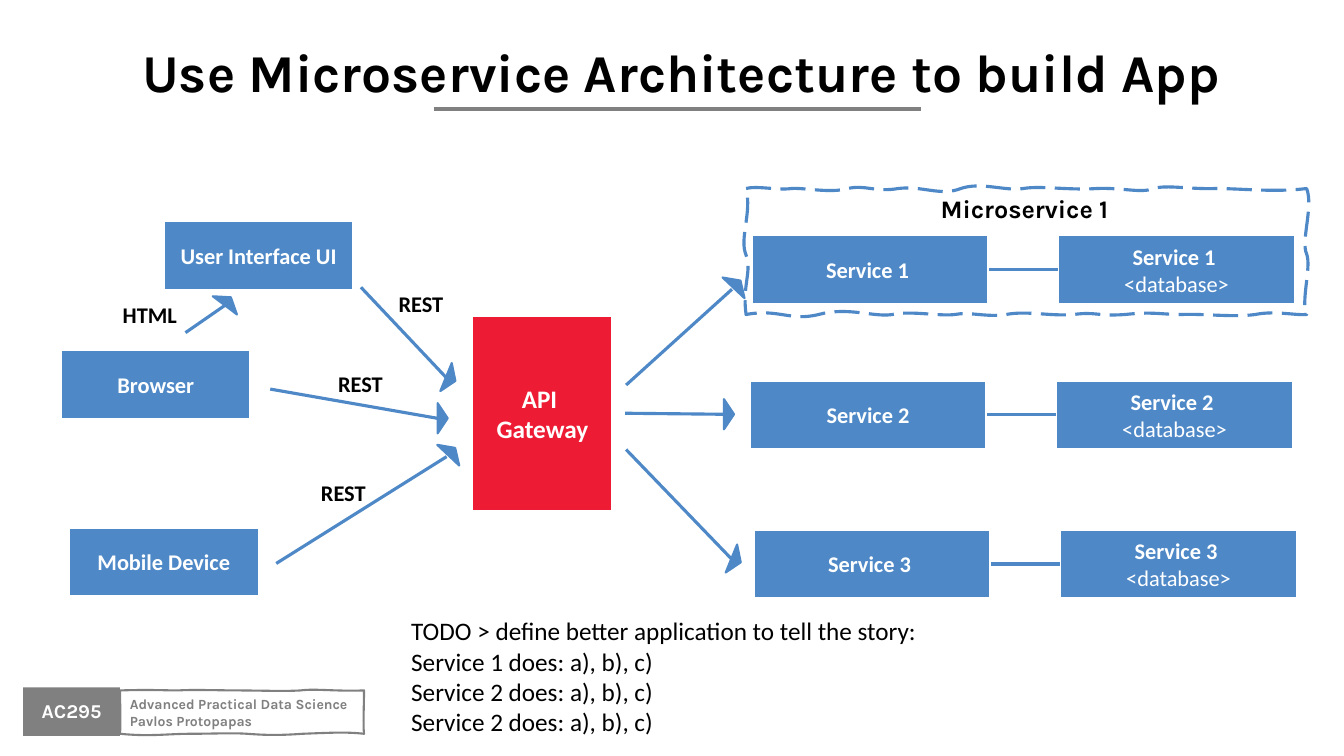
from lxml.etree import SubElement
from pptx import Presentation
from pptx.dml.color import RGBColor
from pptx.enum.dml import MSO_LINE
from pptx.enum.shapes import MSO_CONNECTOR, MSO_SHAPE
from pptx.enum.text import MSO_ANCHOR, MSO_AUTO_SIZE, PP_ALIGN
from pptx.oxml.ns import qn
from pptx.util import Inches, Pt

BLUE, RED, GRAY, WHITE, BLACK = "4E88C7", "ED1B34", "808080", "FFFFFF", "000000"
BOX = (1.89, 0.69)
WIDE = (2.36, 0.69)
STEP = 3.04  # from a service to its database
HEAD = (0.3, 0.1)
UNIT = 1000  # outline steps per inch

TITLE = "Use Microservice Architecture to build App"
CLIENTS = [("User Interface UI", 1.62, 2.19), ("Browser", 0.6, 3.47),
           ("Mobile Device", 0.68, 5.23)]
# service, its database, corner of the service
SERVICES = [("Service 1 ", "Service 1 ", 7.45, 2.33),
            ("Service 2", "Service 2 ", 7.43, 3.77),
            ("Service 3 ", "Service 3 ", 7.47, 5.25)]
LABELS = [("HTML", 0.54, 2.78), ("REST", 3.23, 2.67), ("REST", 2.46, 4.54),
          ("REST", 2.63, 3.46)]
# line start, line end, head corner, head turn
ARROWS = [
    ((6.21, 3.82), (7.26, 2.87), (7.16, 2.77), 43.3),
    ((6.2, 4.1), (7.18, 4.11), (7.08, 4.06), 90),
    ((6.21, 4.46), (7.25, 5.54), (7.15, 5.51), 112.2),
    ((3.58, 2.85), (4.42, 3.74), (4.32, 3.71), 112.2),
    ((2.74, 5.59), (4.43, 4.53), (4.33, 4.43), 43.3),
    ((2.68, 3.86), (4.34, 4.15), (4.24, 4.1), 90),
    ((1.84, 3.3), (2.23, 3.03), (2.11, 2.94), 36.9),
]
NOTES = ["TODO > define better application to tell the story:",
         "Service 1 does: a), b), c)", "Service 2 does: a), b), c)",
         "Service 2 does: a), b), c)"]
COURSE = ["Advanced Practical Data Science", "Pavlos Protopapas"]

# hand-drawn frames: a start, then two controls and an end for each curve
BADGE = (1.19, 6.85), [
    (1.47, 6.84, 1.65, 6.85, 1.77, 6.85), (1.89, 6.84, 2.21, 6.85, 2.37, 6.85),
    (2.54, 6.85, 2.83, 6.86, 2.98, 6.85), (3.13, 6.83, 3.31, 6.86, 3.61, 6.85),
    (3.61, 7.01, 3.6, 7.19, 3.61, 7.28), (3.43, 7.26, 3.28, 7.27, 3, 7.28),
    (2.73, 7.3, 2.59, 7.29, 2.45, 7.28), (2.3, 7.27, 2.11, 7.28, 1.89, 7.28),
    (1.66, 7.28, 1.49, 7.31, 1.19, 7.28), (1.2, 7.17, 1.19, 6.97, 1.19, 6.85)]
GROUP = (7.4, 1.87), [
    (7.5, 1.84, 7.72, 1.89, 7.85, 1.87), (7.97, 1.86, 8.24, 1.92, 8.41, 1.87),
    (8.58, 1.83, 8.68, 1.91, 8.91, 1.87), (9.15, 1.84, 9.33, 1.95, 9.53, 1.87),
    (9.73, 1.8, 9.98, 1.9, 10.15, 1.87), (10.32, 1.84, 10.61, 1.89, 10.88, 1.87),
    (11.14, 1.86, 11.32, 1.92, 11.44, 1.87), (11.57, 1.83, 11.81, 1.88, 12.06, 1.87),
    (12.31, 1.87, 12.65, 1.91, 12.96, 1.87), (13.03, 2.05, 12.9, 2.39, 12.96, 2.52),
    (13.01, 2.65, 12.9, 2.99, 12.96, 3.12), (12.84, 3.13, 12.65, 3.08, 12.45, 3.12),
    (12.24, 3.15, 11.92, 3.11, 11.72, 3.12), (11.52, 3.12, 11.43, 3.09, 11.16, 3.12),
    (10.88, 3.14, 10.87, 3.09, 10.65, 3.12), (10.43, 3.14, 10.18, 3.08, 9.98, 3.12),
    (9.78, 3.15, 9.62, 3.09, 9.47, 3.12), (9.32, 3.14, 9.04, 3.08, 8.85, 3.12),
    (8.67, 3.15, 8.41, 3.04, 8.12, 3.12), (7.84, 3.19, 7.72, 3.06, 7.4, 3.12),
    (7.36, 2.83, 7.46, 2.69, 7.4, 2.53), (7.33, 2.37, 7.46, 2.11, 7.4, 1.87)]

prs = Presentation()
prs.slide_width, prs.slide_height = Inches(13.33), Inches(7.5)
slide = prs.slides.add_slide(prs.slide_layouts[5])
shapes = slide.shapes


def paint(fmt, color):
    fmt.solid()
    fmt.fore_color.rgb = RGBColor.from_string(color)


def write(shape, lines, size, color=WHITE, font="Calibri", bold=True,
          align=PP_ALIGN.CENTER, anchor=MSO_ANCHOR.MIDDLE):
    """Put lines in a shape; each is a text or a (text, bold) pair."""
    frame = shape.text_frame
    frame.word_wrap = True
    frame.auto_size = MSO_AUTO_SIZE.NONE
    frame.vertical_anchor = anchor
    for i, line in enumerate(lines):
        text, heavy = (line, bold) if isinstance(line, str) else line
        para = frame.add_paragraph() if i else frame.paragraphs[0]
        para.alignment = align
        run = para.add_run()
        run.text = text
        run.font.name, run.font.size, run.font.bold = font, Pt(size), heavy
        run.font.color.rgb = RGBColor.from_string(color)
    return frame


def place(kind, spot, size, fill, edge=None, width=2.25):
    shape = shapes.add_shape(kind, *map(Inches, spot + size))
    shape.shadow.inherit = False
    paint(shape.fill, fill)
    if edge:
        paint(shape.line.fill, edge)
        shape.line.width = Pt(width)
    else:
        shape.line.fill.background()
    return shape


def block(spot, size, lines, fill=BLUE, pts=16):
    shape = place(MSO_SHAPE.RECTANGLE, spot, size, fill, WHITE)
    write(shape, lines, pts)
    return shape


def link(start, end, color=BLUE, width=2.25):
    line = shapes.add_connector(MSO_CONNECTOR.STRAIGHT, *map(Inches, start + end))
    paint(line.line.fill, color)
    line.line.width = Pt(width)
    SubElement(line._element.spPr, qn("a:effectLst"))
    return line


def label(spot, size, lines, pts, **style):
    return write(shapes.add_textbox(*map(Inches, spot + size)), lines, pts, **style)


def sketch(start, curves, color, width):
    """Draw a closed outline, then bend each of its sides into a cubic curve."""
    ends = [start] + [curve[4:] for curve in curves]
    left, top = (min(axis) for axis in zip(*ends))
    dots = [(round(x * UNIT), round(y * UNIT)) for x, y in ends]
    pen = shapes.build_freeform(*dots[0], scale=Inches(1) / UNIT)
    pen.add_line_segments(dots[1:], close=True)
    shape = pen.convert_to_shape()
    for side, curve in zip(list(shape._element.iter(qn("a:lnTo"))), curves):
        bend = side.makeelement(qn("a:cubicBezTo"))
        for x, y in zip(curve[::2], curve[1::2]):
            SubElement(bend, qn("a:pt"), x=str(round((x - left) * UNIT)),
                       y=str(round((y - top) * UNIT)))
        side.getparent().replace(side, bend)
    shape.shadow.inherit = False
    shape.fill.background()
    paint(shape.line.fill, color)
    shape.line.width = Pt(width)
    return shape


# title and course badge
title = shapes.title
title.left, title.top, title.width, title.height = map(
    Inches, (1.27, 0.34, 10.98, 0.71))
write(title, [TITLE], 38, BLACK, "Karla", anchor=MSO_ANCHOR.TOP)
link((4.3, 1.08), (9.13, 1.08), GRAY, 3)
place(MSO_SHAPE.RECTANGLE, (0.23, 6.82), (0.96, 0.48), GRAY)
code = label((0, 6.91), (1.42, 0.56), ["AC295"], 14, font="Karla",
             anchor=MSO_ANCHOR.TOP)
code.paragraphs[0].line_spacing = 0.9
badge = write(sketch(*BADGE, GRAY, 1.5), COURSE, 10, GRAY, "Karla",
              align=PP_ALIGN.LEFT)
badge.margin_right = 0

# boxes
block((4.68, 3.13), (1.4, 1.95), ["API ", "Gateway"], RED, 18)
for name, x, y in CLIENTS:
    block((x, y), BOX, [name])
for name, store, x, y in SERVICES:
    data = block((x + STEP, y), WIDE, [store, ("<database>", False)])
    serve = block((x, y), WIDE, [name])
    wire = link((x + WIDE[0], y), (x + STEP, y))
    wire.begin_connect(serve, 3)
    wire.end_connect(data, 1)

# arrows
for start, end, spot, turn in ARROWS:
    tip = place(MSO_SHAPE.ISOSCELES_TRIANGLE, spot, HEAD, BLUE, BLUE, 1.5)
    tip.rotation = turn
    link(start, end)

# captions
for text, x, y in LABELS:
    label((x, y), BOX, [text], 16, color=BLACK)
label((3.98, 6.06), (5.42, 1.44), NOTES, 18, color=BLACK, bold=False,
      align=PP_ALIGN.LEFT, anchor=MSO_ANCHOR.TOP)
sketch(*GROUP, BLUE, 2.25).line.dash_style = MSO_LINE.LONG_DASH
name = label((9.23, 1.87), (1.88, 0.4), ["Microservice 1"], 18, color=BLACK,
             font="Karla", align=PP_ALIGN.LEFT, anchor=MSO_ANCHOR.TOP)
name.margin_right = 0

prs.save("out.pptx")
